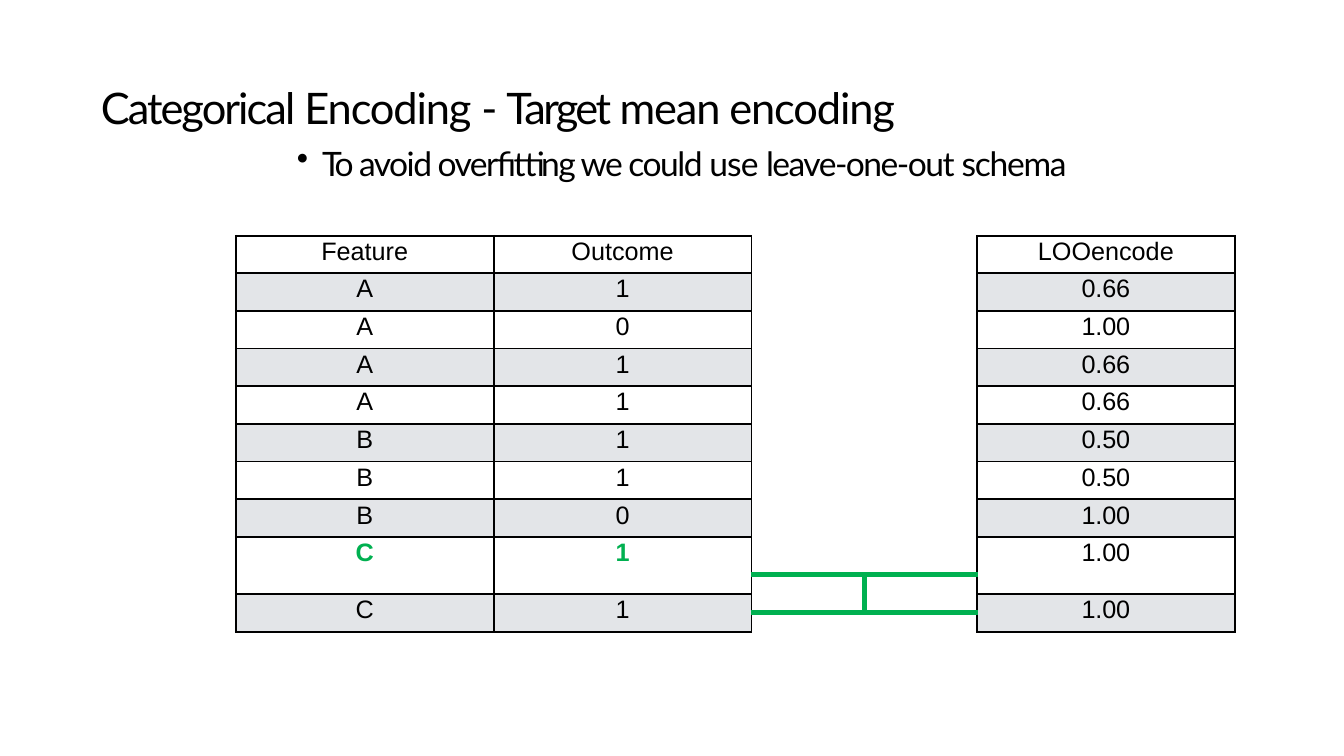
import pptx
import pptx.util
import pptx.dml.color
import pptx.enum.text
import pptx.oxml.ns
from lxml import etree

Cm = pptx.util.Cm
Pt = pptx.util.Pt

COLORS = {"text": "000000", "line": "000000", "band": "E3E5E8", "green": "00B050"}
NO_TABLE_STYLE = "{2D5ABB26-0587-4C30-8999-92F81FD0307C}"
BLACK_LINE = ("line", 1.5)
GREEN_LINE = ("green", 4.25)

# Each text run carries its own letter spacing in points
TITLE = [("Categorical ", -1.4), ("Encoding ", -0.8), ("- ", -1.6),
         ("Target ", -1.9), ("mean encoding", -0.8)]
BULLET = [("To ", -2.3), ("avoid overfitting we could ", -1.1), ("use ", -0.7),
          ("leave-one-out ", -1.1), ("schema", -0.9)]

RECORDS = [
    ("Feature", "Outcome", "LOOencode"),
    ("A", "1", "0.66"),
    ("A", "0", "1.00"),
    ("A", "1", "0.66"),
    ("A", "1", "0.66"),
    ("B", "1", "0.50"),
    ("B", "1", "0.50"),
    ("B", "0", "1.00"),
    ("C", "1", "1.00"),
    ("C", "1", "1.00"),
]
DATA_COLUMNS = (0, 1, 4)
COLUMN_WIDTHS = [6.5, 6.5, 2.84, 2.84, 6.5]
ROW_HEIGHTS = [0.94] + [0.95] * 8 + [0.48] * 3
FIRST_SPLIT = 8  # from this record on, a record covers two table rows


def set_attributes(target, values):
    for name, value in values.items():
        setattr(target, name, value)


def add_runs(paragraph, runs, font_name, size, color="text", bold=False):
    for text, spacing in runs:
        run = paragraph.add_run()
        run.text = text
        set_attributes(run.font, {"name": font_name, "size": Pt(size), "bold": bold})
        run.font.color.rgb = pptx.dml.color.RGBColor.from_string(COLORS[color])
        run.font._element.set("spc", str(round(spacing * 100)))


def add_text(slide, left, top, width, height, runs, size, bullet=False):
    box = slide.shapes.add_textbox(Cm(left), Cm(top), Cm(width), Cm(height))
    frame = box.text_frame
    set_attributes(frame, {
        "word_wrap": True, "margin_left": 0, "margin_right": 0,
        "margin_top": Cm(0.04), "margin_bottom": 0,
        "auto_size": pptx.enum.text.MSO_AUTO_SIZE.SHAPE_TO_FIT_TEXT,
    })
    paragraph = frame.paragraphs[0]
    paragraph.space_before = Pt(1)
    add_runs(paragraph, runs, "Lato", size)
    if bullet:
        properties = paragraph._p.get_or_add_pPr()
        properties.set("marL", str(Cm(0.65)))
        properties.set("indent", str(Cm(-0.64)))
        mark = etree.SubElement(properties, pptx.oxml.ns.qn("a:buChar"))
        mark.set("char", "•")


def set_borders(cell, borders):
    properties = cell._tc.get_or_add_tcPr()
    for side in "LRTB":
        line = etree.SubElement(properties, pptx.oxml.ns.qn("a:ln" + side))
        if side not in borders:
            etree.SubElement(line, pptx.oxml.ns.qn("a:noFill"))
            continue
        color, width = borders[side]
        line.set("w", str(Pt(width)))
        fill = etree.SubElement(line, pptx.oxml.ns.qn("a:solidFill"))
        etree.SubElement(fill, pptx.oxml.ns.qn("a:srgbClr")).set("val", COLORS[color])


def format_block(table, row, column, row_span, column_span, borders, fill=None):
    """Merge a block of cells, style it and return its first cell."""
    for i in range(row, row + row_span):
        for j in range(column, column + column_span):
            cell = table.cell(i, j)
            set_attributes(cell, {"margin_left": 0, "margin_right": 0,
                                  "margin_top": Cm(0.05), "margin_bottom": 0})
            set_borders(cell, borders)
            if fill:
                cell.fill.solid()
                cell.fill.fore_color.rgb = pptx.dml.color.RGBColor.from_string(COLORS[fill])
            else:
                cell.fill.background()
            end = cell.text_frame.paragraphs[0]._p.get_or_add_endParaRPr()
            end.set("sz", "100")
    first = table.cell(row, column)
    if row_span * column_span > 1:
        first.merge(table.cell(row + row_span - 1, column + column_span - 1))
    return first


def add_records(table):
    for index, record in enumerate(RECORDS):
        split = index >= FIRST_SPLIT
        row = index + max(0, index - FIRST_SPLIT)
        for column, text in zip(DATA_COLUMNS, record):
            cell = format_block(table, row, column, 2 if split else 1, 1,
                                dict.fromkeys("LRTB", BLACK_LINE),
                                "band" if index % 2 else None)
            paragraph = cell.text_frame.paragraphs[0]
            paragraph.alignment = pptx.enum.text.PP_ALIGN.CENTER
            paragraph.space_before = Pt(1.7 if 0 < index < 9 else 1.4)
            marked = index == FIRST_SPLIT and column < 2
            spacing = -0.1 if "." in text else 0
            add_runs(paragraph, [(text, spacing)], "Arial", 18,
                     "green" if marked else "text", marked)


def add_bracket(table):
    """Gap columns between the two halves, with the green link."""
    sides = {"L": BLACK_LINE, "R": BLACK_LINE}
    green = dict.fromkeys("LRTB", GREEN_LINE)
    format_block(table, 0, 2, 9, 2, sides)
    format_block(table, 9, 2, 2, 1, {**green, "L": BLACK_LINE})
    format_block(table, 9, 3, 2, 1, {**green, "R": BLACK_LINE})
    format_block(table, 11, 2, 1, 2, sides)


def add_encoding_table(slide):
    frame = slide.shapes.add_table(len(ROW_HEIGHTS), len(COLUMN_WIDTHS), Cm(5.94), Cm(5.94),
                                   Cm(sum(COLUMN_WIDTHS)), Cm(sum(ROW_HEIGHTS)))
    table = frame.table
    set_attributes(table, {"first_row": False, "horz_banding": False})
    table._tbl.tblPr.find(pptx.oxml.ns.qn("a:tableStyleId")).text = NO_TABLE_STYLE
    for column, width in zip(table.columns, COLUMN_WIDTHS):
        column.width = Cm(width)
    for row, height in zip(table.rows, ROW_HEIGHTS):
        row.height = Cm(height)
    add_records(table)
    add_bracket(table)


def main():
    presentation = pptx.Presentation()
    set_attributes(presentation, {"slide_width": Cm(33.87), "slide_height": Cm(19.05)})
    slide = presentation.slides.add_slide(presentation.slide_layouts[6])

    # Heading and remark
    add_text(slide, 2.54, 2.01, 20.45, 1.4, TITLE, 31)
    add_text(slide, 7.47, 3.56, 19.81, 1.09, BULLET, 24, bullet=True)

    # Feature table with its leave-one-out codes
    add_encoding_table(slide)

    presentation.save("out.pptx")


if __name__ == "__main__":
    main()
